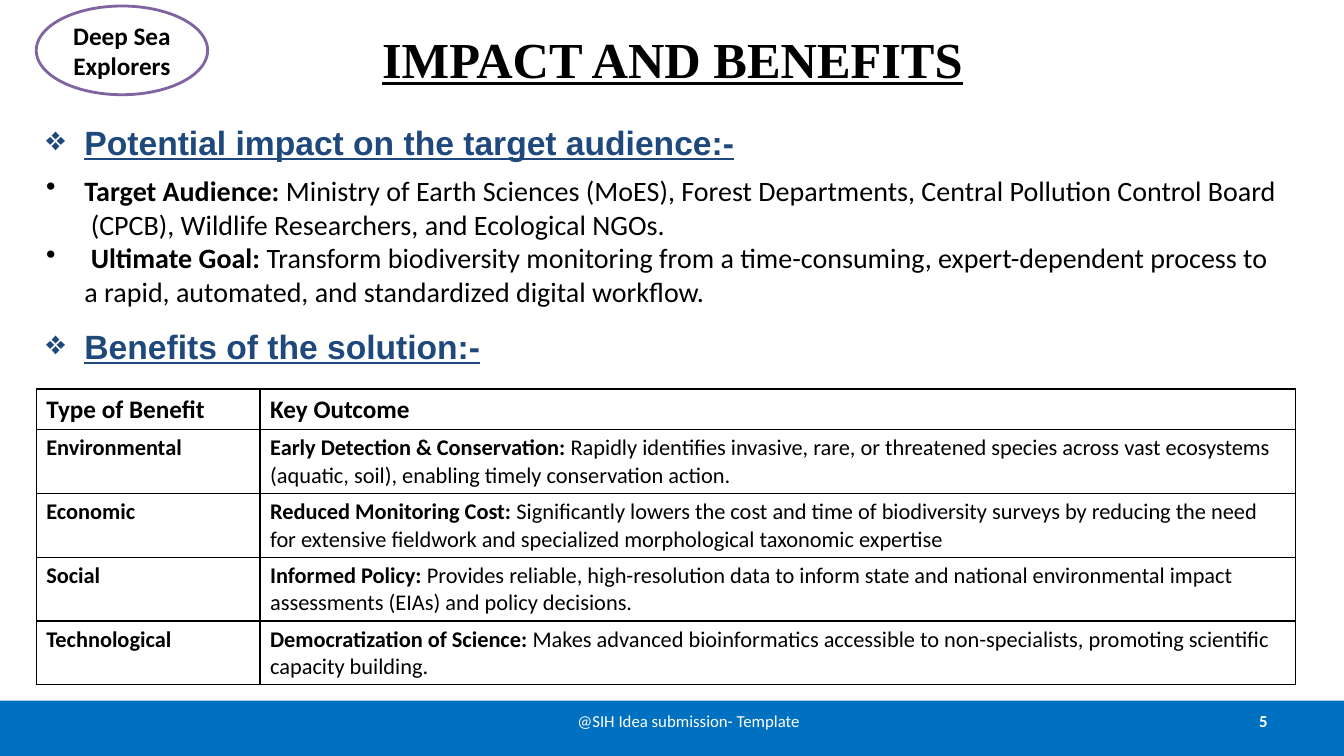
from lxml.etree import SubElement
from pptx import Presentation
from pptx.dml.color import RGBColor
from pptx.enum.shapes import MSO_SHAPE as Shape
from pptx.enum.text import MSO_ANCHOR as Anchor, PP_ALIGN as Align
from pptx.oxml.ns import qn
from pptx.util import Inches, Pt

BLACK, WHITE, NAVY = "000000", "FFFFFF", "1F497D"
BLUE, PURPLE = "0070C0", "8064A2"


def color(value):
    return RGBColor.from_string(value)


class SlideBuilder:
    body_font = "Calibri"
    heading_font = "Arial"
    title_font = "Times New Roman"

    def __init__(self, slide):
        self.slide = slide

    def run(self, paragraph, text, size, bold=False, hue=BLACK, font=None, underline=False):
        run = paragraph.add_run()
        run.text = text
        run.font.size = Pt(size)
        run.font.bold = bold
        run.font.underline = underline
        run.font.name = font or self.body_font
        run.font.color.rgb = color(hue)

    def bullet(self, paragraph, character, indent=0.38):
        properties = paragraph._p.get_or_add_pPr()
        properties.set("marL", str(Inches(indent)))
        properties.set("indent", str(-Inches(indent)))
        SubElement(properties, qn("a:buChar")).set("char", character)

    def title(self, text, left, top, width, height):
        title = self.slide.shapes.title
        title.left, title.top = Inches(left), Inches(top)
        title.width, title.height = Inches(width), Inches(height)
        title.text_frame.vertical_anchor = Anchor.MIDDLE
        paragraph = title.text_frame.paragraphs[0]
        paragraph.alignment = Align.CENTER
        self.run(paragraph, text, 36, True, font=self.title_font, underline=True)

    def shape(self, kind, left, top, width, height, fill, line=None):
        shape = self.slide.shapes.add_shape(
            kind, Inches(left), Inches(top), Inches(width), Inches(height))
        shape.shadow.inherit = False
        shape.fill.solid()
        shape.fill.fore_color.rgb = color(fill)
        if line:
            shape.line.color.rgb = color(line)
            shape.line.width = Pt(2)
        else:
            shape.line.fill.background()
        return shape

    def badge(self, lines, *box):
        frame = self.shape(Shape.OVAL, *box, WHITE, PURPLE).text_frame
        frame.vertical_anchor = Anchor.MIDDLE
        for index, line in enumerate(lines):
            paragraph = frame.add_paragraph() if index else frame.paragraphs[0]
            paragraph.alignment = Align.CENTER
            self.run(paragraph, line, 18, True)

    def text_box(self, left, top, width, height, anchor=Anchor.TOP):
        frame = self.slide.shapes.add_textbox(
            Inches(left), Inches(top), Inches(width), Inches(height)).text_frame
        frame.word_wrap = True
        frame.vertical_anchor = anchor
        return frame

    def footer_text(self, text, left, width, alignment, bold=False):
        frame = self.text_box(left, 6.95, width, 0.4, Anchor.MIDDLE)
        paragraph = frame.paragraphs[0]
        paragraph.alignment = alignment
        self.run(paragraph, text, 12, bold, WHITE)

    def heading(self, paragraph, text, space_before=0):
        paragraph.alignment = Align.JUSTIFY
        paragraph.space_before = Pt(space_before)
        self.bullet(paragraph, "❖")
        self.run(paragraph, text, 24, True, NAVY, self.heading_font, True)

    def point(self, paragraph, label, lines, space_before=0):
        paragraph.space_before = Pt(space_before)
        self.bullet(paragraph, "•")
        self.run(paragraph, label, 20, True)
        for index, line in enumerate(lines):
            if index:
                paragraph.add_line_break()
            self.run(paragraph, line, 20)

    def cell(self, cell, runs, size):
        properties = cell._tc.get_or_add_tcPr()
        for side in ("lnL", "lnR", "lnT", "lnB"):
            border = SubElement(properties, qn(f"a:{side}"))
            border.set("w", str(Pt(1)))
            fill = SubElement(border, qn("a:solidFill"))
            SubElement(fill, qn("a:srgbClr")).set("val", BLACK)
        cell.fill.background()
        for text, bold in runs:
            self.run(cell.text_frame.paragraphs[0], text, size, bold)

    def table(self, header, rows, left, top, column_widths, header_height, row_height):
        height = header_height + row_height * len(rows)
        table = self.slide.shapes.add_table(
            len(rows) + 1, len(header), Inches(left), Inches(top),
            Inches(sum(column_widths)), Inches(height)).table
        table.first_row = table.horz_banding = False
        for column, width in zip(table.columns, column_widths):
            column.width = Inches(width)
        for index, row in enumerate(table.rows):
            row.height = Inches(row_height if index else header_height)
        for index, text in enumerate(header):
            self.cell(table.cell(0, index), [(text, True)], 18)
        for index, (benefit, label, outcome) in enumerate(rows, 1):
            self.cell(table.cell(index, 0), [(benefit, True)], 16)
            self.cell(table.cell(index, 1), [(label, True), (outcome, False)], 16)


BENEFITS = [
    ("Environmental", "Early Detection & Conservation: ",
     "Rapidly identifies invasive, rare, or threatened species across vast ecosystems "
     "(aquatic, soil), enabling timely conservation action."),
    ("Economic", "Reduced Monitoring Cost: ",
     "Significantly lowers the cost and time of biodiversity surveys by reducing the need "
     "for extensive fieldwork and specialized morphological taxonomic expertise"),
    ("Social", "Informed Policy: ",
     "Provides reliable, high-resolution data to inform state and national environmental "
     "impact assessments (EIAs) and policy decisions."),
    ("Technological", "Democratization of Science: ",
     "Makes advanced bioinformatics accessible to non-specialists, promoting scientific "
     "capacity building."),
]


def main():
    presentation = Presentation()
    presentation.slide_width, presentation.slide_height = Inches(13.33), Inches(7.5)
    builder = SlideBuilder(presentation.slides.add_slide(presentation.slide_layouts[5]))

    # Footer bar and title
    builder.shape(Shape.RECTANGLE, 0, 6.95, 13.33, 0.55, BLUE)
    builder.title("IMPACT AND BENEFITS", 0.67, -0.05, 12, 1.25)

    # Impact and benefits headings with audience points
    frame = builder.text_box(0.36, 1.16, 12.5, 2.52)
    builder.heading(frame.paragraphs[0], "Potential impact on the target audience:-")
    builder.point(frame.add_paragraph(), "Target Audience:", [
        " Ministry of Earth Sciences (MoES), Forest Departments, "
        "Central Pollution Control Board",
        " (CPCB), Wildlife Researchers, and Ecological NGOs."], 8)
    builder.point(frame.add_paragraph(), " Ultimate Goal:", [
        " Transform biodiversity monitoring from a time-consuming, expert-dependent "
        "process to a rapid, automated, and standardized digital workflow."])
    builder.heading(frame.add_paragraph(), "Benefits of the solution:-", 13)

    # Footer texts
    builder.footer_text("5", 9.56, 3.11, Align.RIGHT, True)
    builder.footer_text("@SIH Idea submission- Template", 5.08, 3.5, Align.CENTER)

    # Team badge
    builder.badge(["Deep Sea", "Explorers"], 0.36, 0.06, 1.7, 0.88)

    # Benefits table
    builder.table(["Type of Benefit", "Key Outcome"], BENEFITS,
                  0.36, 3.86, [2.22, 10.27], 0.4, 0.63)

    presentation.save("out.pptx")


if __name__ == "__main__":
    main()
